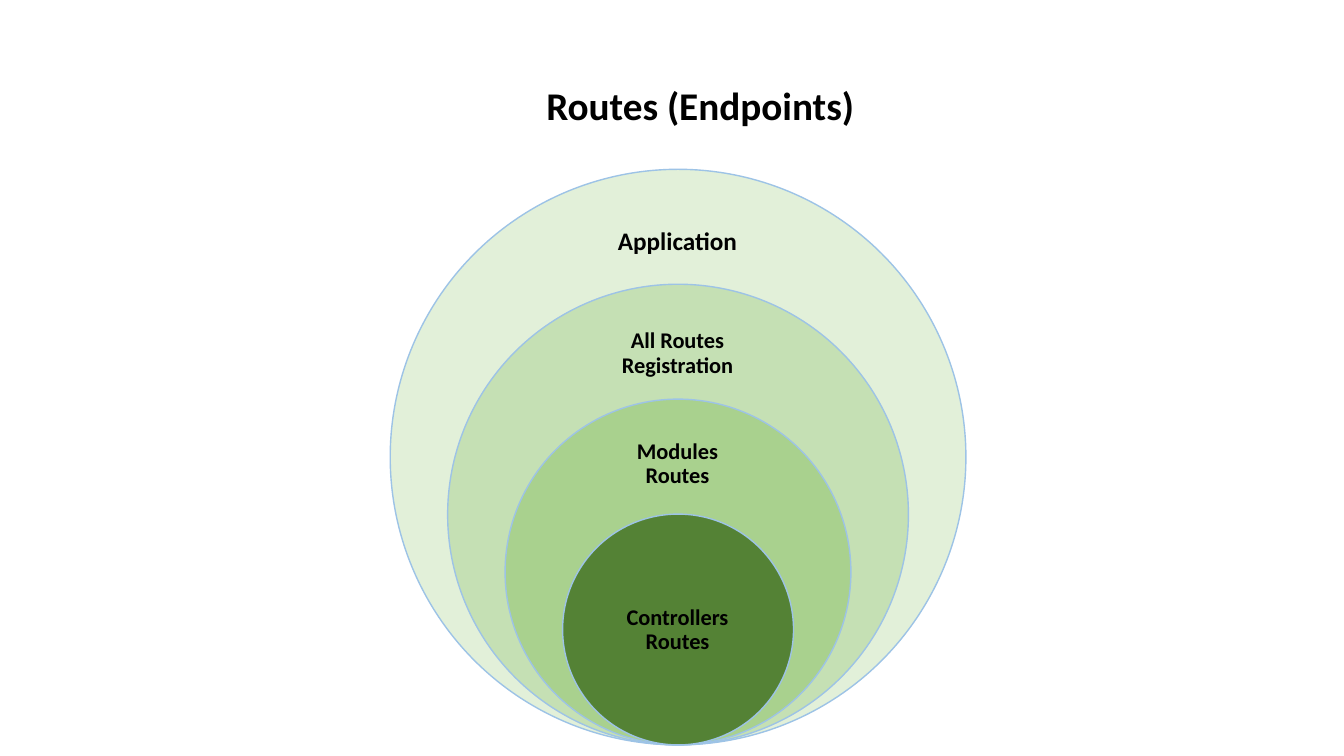
import pptx
import pptx.util
from pptx.dml.color import RGBColor
from pptx.enum.shapes import MSO_SHAPE
from pptx.enum.text import MSO_ANCHOR, MSO_AUTO_SIZE, PP_ALIGN

PX = 9144  # 100 px to the inch
BLACK = RGBColor(0x00, 0x00, 0x00)
EDGE = RGBColor(0x9D, 0xC3, 0xE6)
PALE = RGBColor(0xE2, 0xF0, 0xD9)
LIGHT = RGBColor(0xC5, 0xE0, 0xB4)
MID = RGBColor(0xA9, 0xD1, 0x8E)
DARK = RGBColor(0x54, 0x82, 0x35)

deck = pptx.Presentation()
deck.slide_width = 1333 * PX
deck.slide_height = 750 * PX
slide = deck.slides.add_slide(deck.slide_layouts[6])


def write(text, left, top, width, height, size, inset=12, wrap=True,
          align=PP_ALIGN.CENTER, anchor=MSO_ANCHOR.MIDDLE, spacing=0.9):
    box = slide.shapes.add_textbox(left * PX, top * PX, width * PX, height * PX)
    frame = box.text_frame
    frame.word_wrap = wrap
    frame.auto_size = MSO_AUTO_SIZE.NONE if wrap else MSO_AUTO_SIZE.SHAPE_TO_FIT_TEXT
    frame.vertical_anchor = anchor
    if wrap:
        frame.margin_left = frame.margin_right = inset * PX
        frame.margin_top = frame.margin_bottom = inset * PX
    para = frame.paragraphs[0]
    para.alignment = align
    para.line_spacing = spacing
    run = para.add_run()
    run.text = text
    run.font.name = "Calibri"
    run.font.size = pptx.util.Pt(size)
    run.font.bold = True
    run.font.color.rgb = BLACK


# Nested circles share the lowest point; each is one step narrower per side
LEFT, TOP, WIDE, STEP = 387, 168, 571, 57
rings = [
    ("Application", PALE, 18, 14, (592, 197, 160, 86)),
    ("All Routes Registration", LIGHT, 16, 12, (592, 310, 160, 82)),
    ("Modules Routes", MID, 16, 12, (592, 422, 160, 77)),
    ("Controllers Routes", DARK, 16, 12, (591, 568, 162, 114)),
]
for i, (name, fill, size, inset, area) in enumerate(rings):
    span = WIDE - 2 * STEP * i
    disc = slide.shapes.add_shape(
        MSO_SHAPE.OVAL, (LEFT + STEP * i) * PX, (TOP + 2 * STEP * i) * PX,
        span * PX, span * PX)
    disc.shadow.inherit = False
    disc.fill.solid()
    disc.fill.fore_color.rgb = fill
    disc.line.color.rgb = EDGE
    disc.line.width = pptx.util.Pt(1)
    write(name, *area, size=size, inset=inset)

# Title
write("Routes (Endpoints)", 532, 76, 329, 57, size=28, wrap=False,
      align=PP_ALIGN.LEFT, anchor=MSO_ANCHOR.TOP, spacing=1.0)

deck.save("out.pptx")
